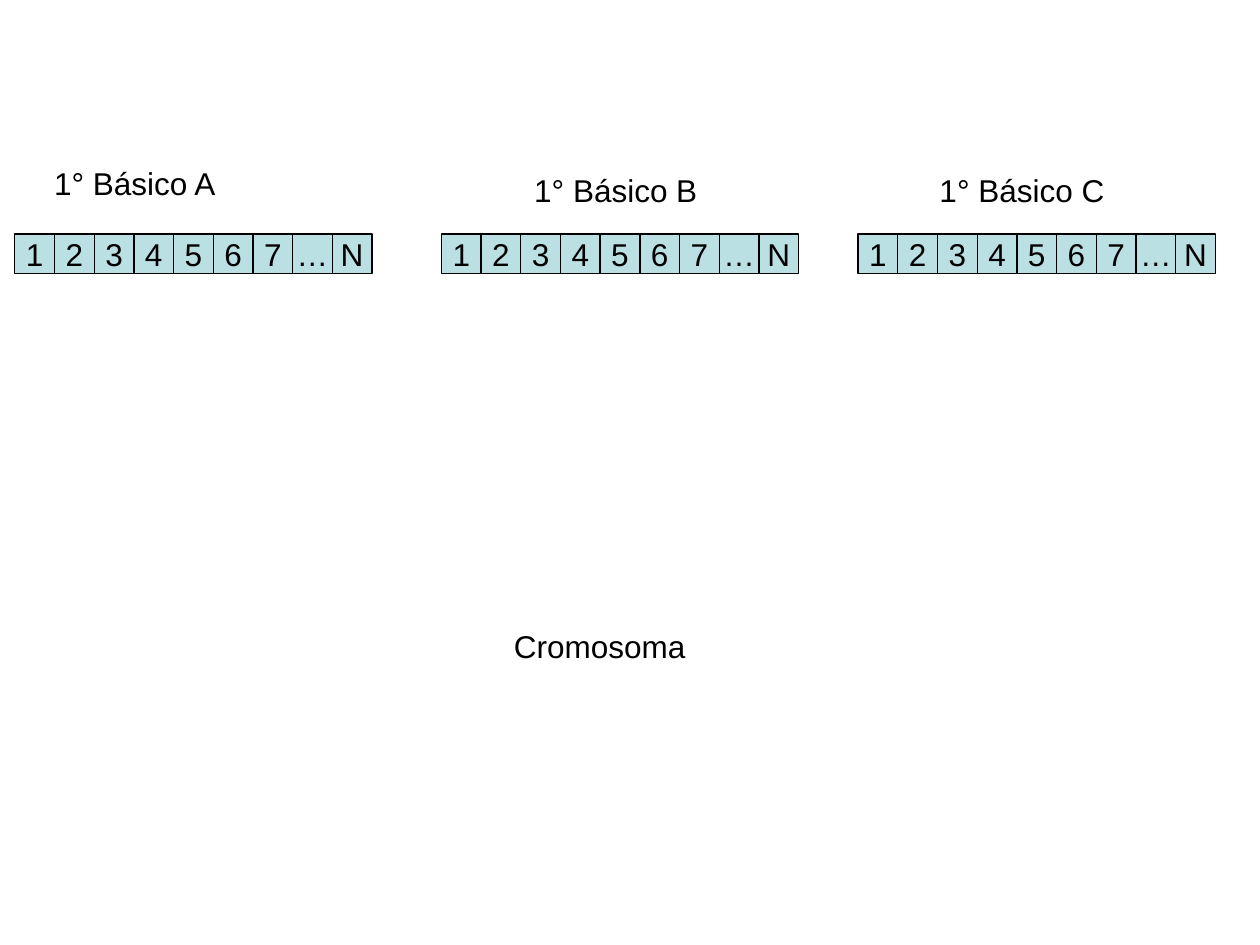
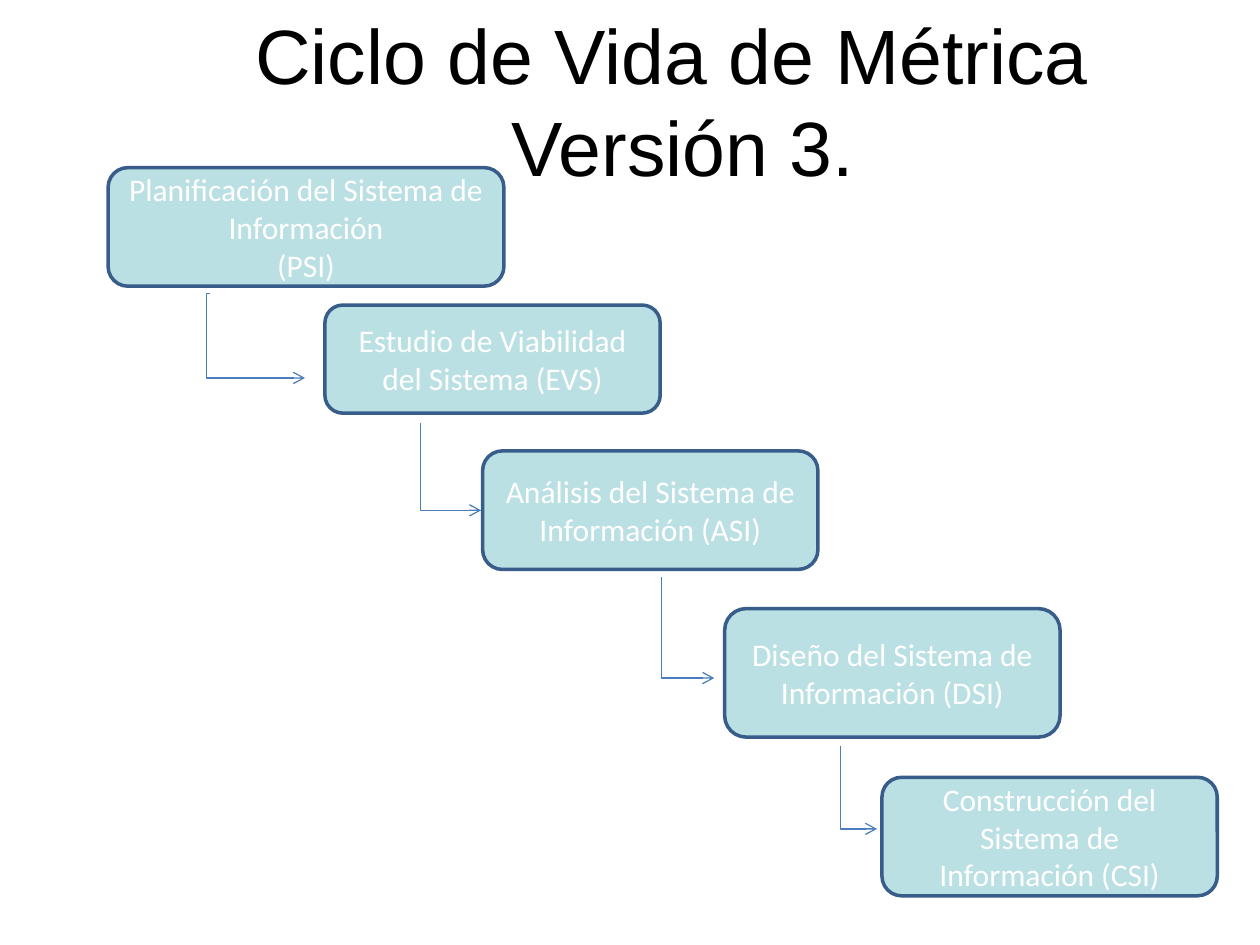
"""Build two slides: class timetables as a chromosome, and the Métrica 3 life cycle."""
import pptx
import pptx.util
import pptx.dml.color
import pptx.enum.shapes
import pptx.enum.text
import pptx.oxml
import pptx.oxml.ns

Cm, Pt = pptx.util.Cm, pptx.util.Pt
KIND = pptx.enum.shapes.MSO_SHAPE
ALIGN = pptx.enum.text.PP_ALIGN
ANCHOR = pptx.enum.text.MSO_ANCHOR
PALE, EDGE, ARROW = "BBE0E3", "385D8A", "4A7EBB"
BLACK, WHITE = "000000", "FFFFFF"


def paint(part, tint):
    part.solid()
    part.fore_color.rgb = pptx.dml.color.RGBColor.from_string(tint)


def write(shape, text, size=18, font="Arial", tint=BLACK, align=ALIGN.CENTER,
          anchor=ANCHOR.MIDDLE, wrap=True):
    frame = shape.text_frame
    frame.text = text
    frame.word_wrap = wrap
    frame.auto_size = pptx.enum.text.MSO_AUTO_SIZE.NONE
    frame.vertical_anchor = anchor
    for para in frame.paragraphs:
        para.alignment = align
        for run in para.runs:
            run.font.size = Pt(size)
            run.font.name = font
            paint(run.font.fill, tint)


deck = pptx.Presentation()
deck.slide_width, deck.slide_height = Cm(25.4), Cm(19.05)

slide = deck.slides.add_slide(deck.slide_layouts[6])
side = 0.8
for start in (0.3, 8.9, 17.3):
    for i, mark in enumerate("1234567…N"):
        cell = slide.shapes.add_shape(
            KIND.RECTANGLE, Cm(start + i * side), Cm(4.72), Cm(side), Cm(side))
        cell.shadow.inherit = False
        paint(cell.fill, PALE)
        paint(cell.line.fill, BLACK)
        cell.line.width = Pt(0.75)
        write(cell, mark, wrap=False)

labels = [
    ("1° Básico A", 0.84, 3.18, 3.8, False),
    ("1° Básico B", 10.52, 3.33, 3.8, False),
    ("1° Básico C", 18.69, 3.33, 3.8, False),
    ("Cromosoma", 10.11, 12.52, 4.8, True),
]
for text, left, top, width, wrap in labels:
    label = slide.shapes.add_textbox(Cm(left), Cm(top), Cm(width), Cm(1.02))
    write(label, text, align=ALIGN.LEFT, anchor=ANCHOR.TOP, wrap=wrap)

slide = deck.slides.add_slide(deck.slide_layouts[5])
title = slide.shapes.title
title.left, title.top, title.width, title.height = Cm(2.97), Cm(0.84), Cm(21.59), Cm(2.34)
write(title, "Ciclo de Vida de Métrica \vVersión 3.", size=44)

stages = [
    ("Planificación del Sistema de Información\n(PSI)", 2.18, 3.38, 7.98, 2.39),
    ("Estudio de Viabilidad del Sistema (EVS)", 6.55, 6.15, 6.76, 2.18),
    ("Análisis del Sistema de Información (ASI)", 9.73, 9.09, 6.76, 2.39),
    ("Diseño del Sistema de Información (DSI)", 14.61, 12.27, 6.76, 2.59),
    ("Construcción del Sistema de Información (CSI)", 17.78, 15.67, 6.76, 2.39),
]
for text, *place in stages:
    stage = slide.shapes.add_shape(KIND.ROUNDED_RECTANGLE, *map(Cm, place))
    stage.shadow.inherit = False
    paint(stage.fill, PALE)
    paint(stage.line.fill, EDGE)
    stage.line.width = Pt(2)
    write(stage, text, font="Calibri", tint=WHITE)

steps = [
    (4.24, 5.92, 6.15, 7.62, -4100),
    (8.48, 8.53, 9.7, 10.29, 0),
    (13.34, 11.63, 14.4, 13.67, 0),
    (16.94, 15.04, 17.68, 16.71, 0),
]
space = pptx.oxml.ns.nsdecls("a")
for *ends, bend in steps:
    step = slide.shapes.add_connector(
        pptx.enum.shapes.MSO_CONNECTOR.ELBOW, *map(Cm, ends))
    paint(step.line.fill, ARROW)
    step.line.width = Pt(0.75)
    props = step._element.spPr
    guides = props.prstGeom.get_or_add_avLst()
    guides.append(pptx.oxml.parse_xml(f'<a:gd {space} name="adj1" fmla="val {bend}"/>'))
    props.ln.append(pptx.oxml.parse_xml(f'<a:tailEnd {space} type="arrow"/>'))
    props.append(pptx.oxml.parse_xml(f"<a:effectLst {space}/>"))

deck.save("out.pptx")
